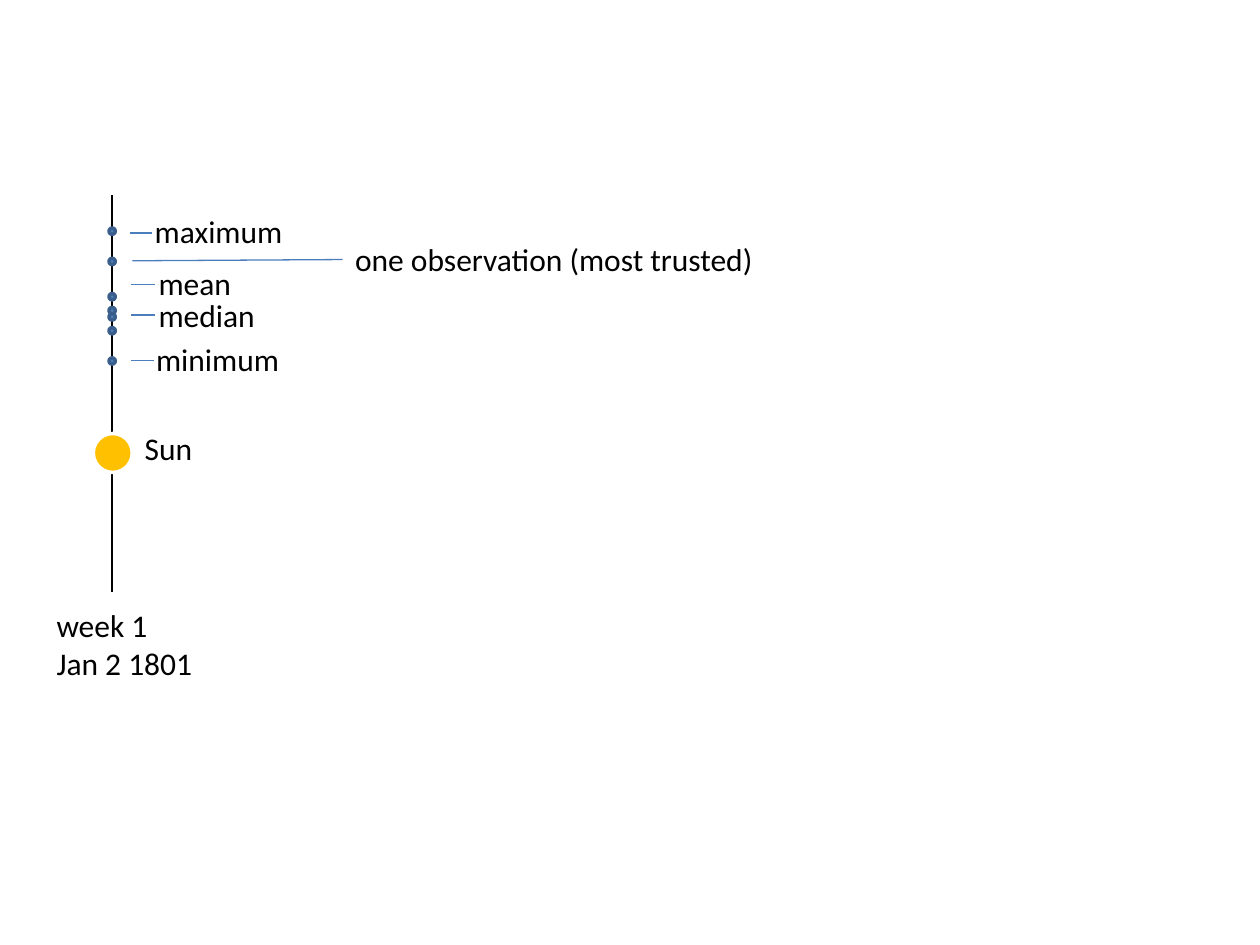
from pptx import Presentation
from pptx.dml.color import RGBColor as RGB
from pptx.enum.shapes import MSO_CONNECTOR as Conn, MSO_SHAPE as Shape
from pptx.enum.text import MSO_AUTO_SIZE as Fit
from pptx.oxml.ns import qn
from pptx.util import Inches, Pt
from lxml.etree import SubElement

COLORS = {
    "text": "000000",
    "axis": "000000",
    "dot": "4F81BD",
    "rim": "3A5F8C",
    "lead": "4B7EBC",
    "sun": "FFC000",
    "halo": "FFFFFF",
}
AXIS_X = 0.89
DOT = 0.05
# Top edges of the dots, from the maximum to the minimum
DOTS = [1.81, 2.05, 2.33, 2.44, 2.49, 2.6, 2.84]
# Text, left, top, width
LABELS = [
    ("Sun", 1.05, 3.36, 0.58),
    ("maximum", 1.13, 1.63, 1.23),
    ("minimum", 1.14, 2.65, 1.19),
    ("mean", 1.16, 2.05, 0.78),
    ("median", 1.16, 2.3, 0.98),
    ("one observation (most trusted)", 2.72, 1.86, 3.39),
]
# Start x, start y, end x, end y
LEADS = [
    (1.03, 1.85, 1.21, 1.85),
    (1.05, 2.07, 2.72, 2.06),
    (1.04, 2.26, 1.23, 2.26),
    (1.04, 2.5, 1.23, 2.5),
    (1.04, 2.86, 1.22, 2.86),
]


def color(name):
    return RGB.from_string(COLORS[name])


def add_line(slide, ends, tone):
    line = slide.shapes.add_connector(Conn.STRAIGHT, *map(Inches, ends))
    line.line.color.rgb = color(tone)
    line.line.width = Pt(0.75)
    SubElement(line._element.spPr, qn("a:effectLst"))


def add_disc(slide, left, top, size, fill, rim):
    disc = slide.shapes.add_shape(
        Shape.OVAL, *map(Inches, (left, top, size, size)))
    disc.shadow.inherit = False
    disc.fill.solid()
    disc.fill.fore_color.rgb = color(fill)
    disc.line.color.rgb = color(rim)
    disc.line.width = Pt(2)


def add_label(slide, lines, left, top, width, height=0.4, wrap=False):
    box = slide.shapes.add_textbox(*map(Inches, (left, top, width, height)))
    frame = box.text_frame
    frame.word_wrap = wrap
    frame.auto_size = Fit.SHAPE_TO_FIT_TEXT
    para = frame.paragraphs[0]
    for i, text in enumerate(lines):
        if i:
            para.add_line_break()
        run = para.add_run()
        run.text = text
        run.font.name = "Calibri"
        run.font.size = Pt(18)
        run.font.color.rgb = color("text")


def main():
    deck = Presentation()
    deck.slide_width, deck.slide_height = Inches(10), Inches(7.5)
    slide = deck.slides.add_slide(deck.slide_layouts[6])

    # Axis with the observations and the Sun
    add_line(slide, (AXIS_X, 1.55, AXIS_X, 4.7), "axis")
    for top in DOTS:
        add_disc(slide, AXIS_X - DOT / 2, top, DOT, "dot", "rim")
    add_disc(slide, 0.74, 3.44, 0.31, "sun", "halo")

    # Labels and the date
    for text, left, top, width in LABELS:
        add_label(slide, [text], left, top, width)
    add_label(slide, ["week 1", "Jan 2 1801"], 0.35, 4.76, 1.31, 0.71, True)

    # Lead lines
    for ends in LEADS:
        add_line(slide, ends, "lead")

    deck.save("out.pptx")


if __name__ == "__main__":
    main()
